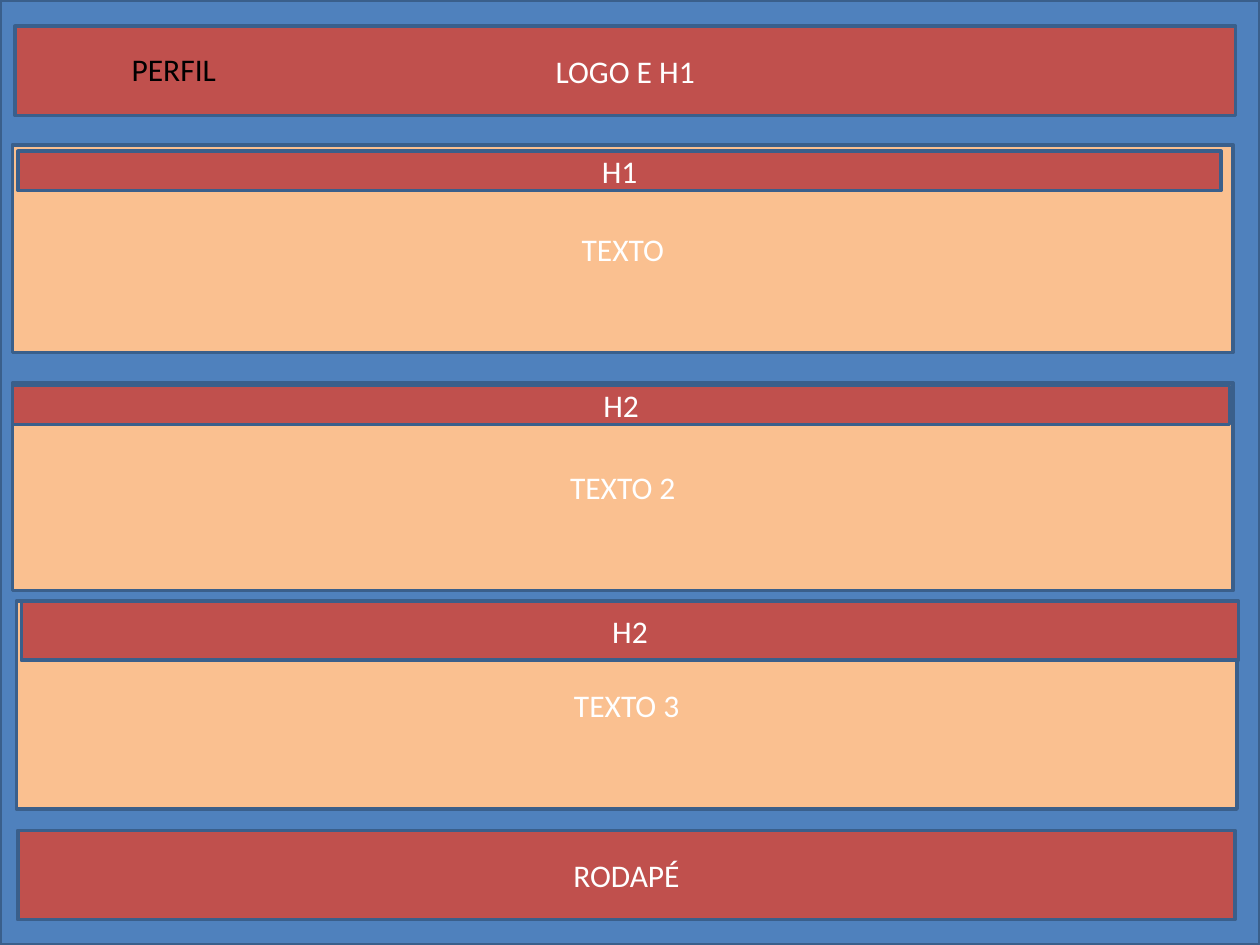
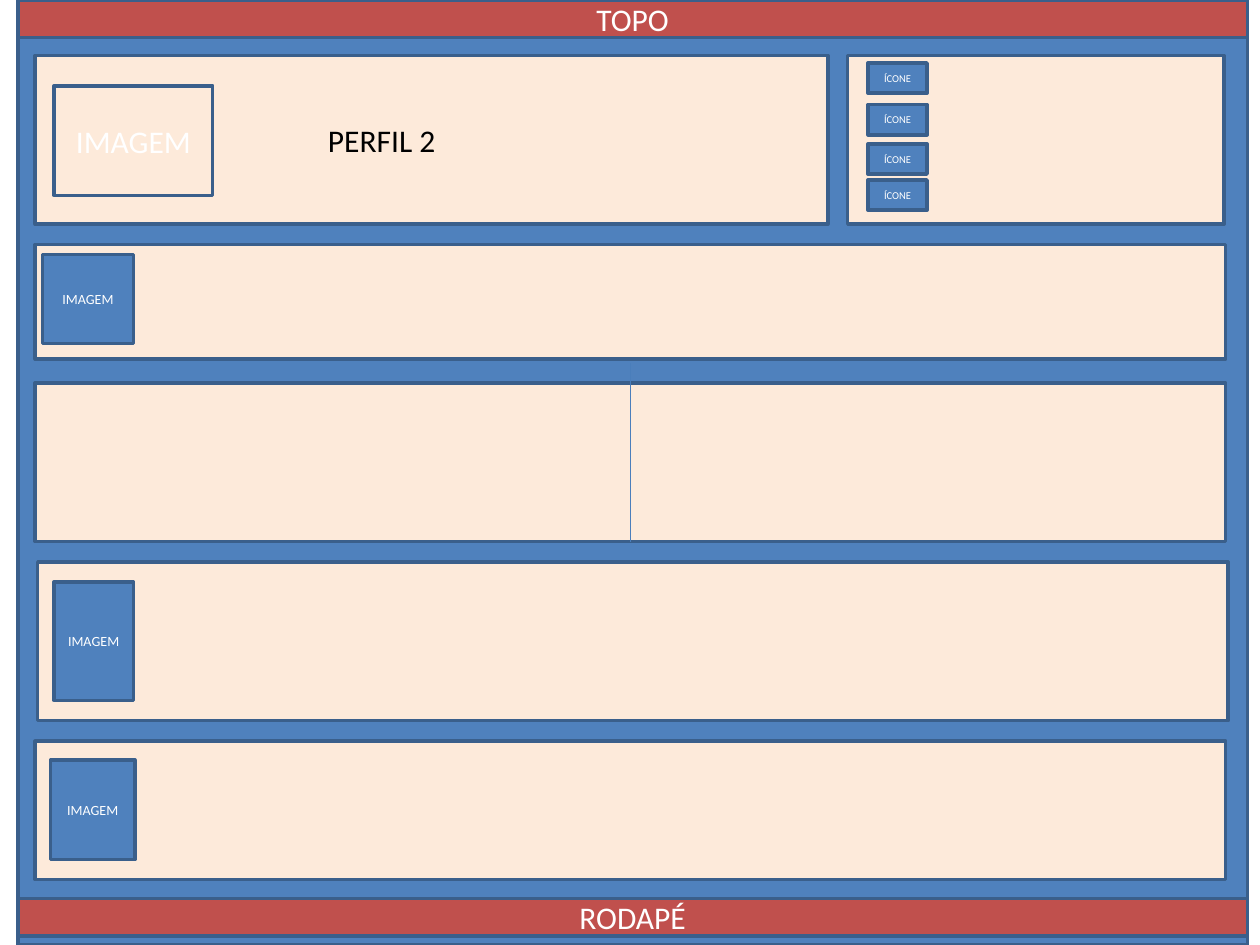
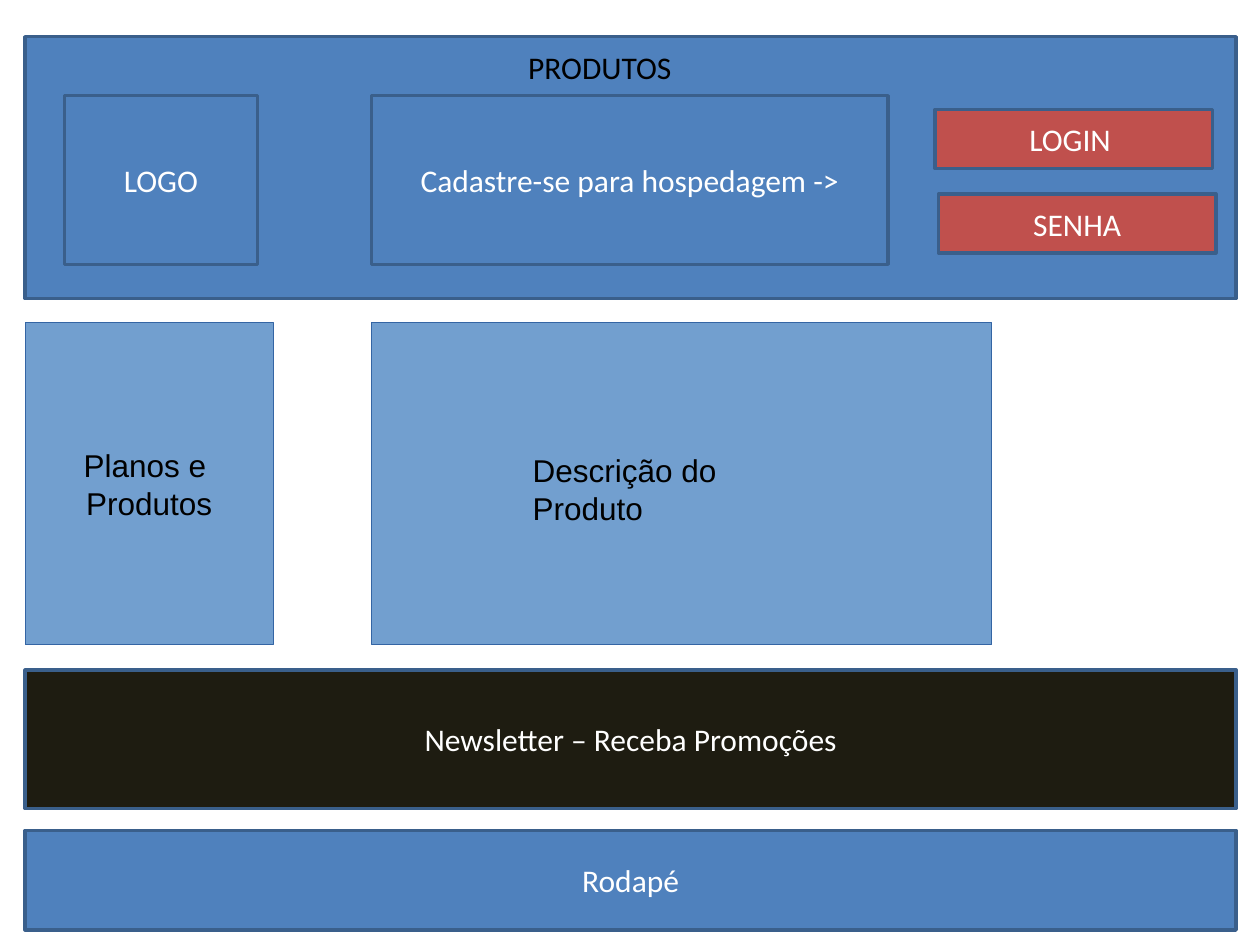
from dataclasses import dataclass
from typing import Any

import pptx
import pptx.dml.color
import pptx.enum.shapes
import pptx.enum.text
import pptx.oxml.ns
import pptx.util
from lxml import etree

Cm = pptx.util.Cm
Pt = pptx.util.Pt
RGBColor = pptx.dml.color.RGBColor
Anchor = pptx.enum.text.MSO_ANCHOR
Align = pptx.enum.text.PP_ALIGN
AutoSize = pptx.enum.text.MSO_AUTO_SIZE

BLUE = RGBColor(0x4F, 0x81, 0xBD)
BLUE_EDGE = RGBColor(0x3A, 0x5F, 0x8B)
DIVIDER_BLUE = RGBColor(0x4A, 0x7E, 0xBB)
RED = RGBColor(0xC0, 0x50, 0x4D)
ORANGE = RGBColor(0xFA, 0xC0, 0x90)
CREAM = RGBColor(0xFD, 0xEA, 0xDA)
DARK = RGBColor(0x1E, 0x1C, 0x11)
SKY = RGBColor(0x72, 0x9F, 0xCF)
SKY_EDGE = RGBColor(0x34, 0x65, 0xA4)
WHITE = RGBColor(0xFF, 0xFF, 0xFF)
BLACK = RGBColor(0x00, 0x00, 0x00)

SLIDE_WIDTH, SLIDE_HEIGHT = 25.4, 19.05


@dataclass(frozen=True)
class TextStyle:
    font: str = "Calibri"
    size: float = 18
    color: RGBColor = WHITE
    align: Any = Align.CENTER
    wrap: bool = True


ON_FILL = TextStyle()
IMAGE_TEXT = TextStyle(size=8)
ICON_TEXT = TextStyle(size=6)
PAGE_NAME = TextStyle(color=BLACK)
PRODUCT_TEXT = TextStyle(font="Arial", color=BLACK, wrap=False)
DESCRIPTION_TEXT = TextStyle(font="Arial", color=BLACK, align=Align.LEFT, wrap=False)


@dataclass(frozen=True)
class Block:
    """A filled rectangle of the wireframe; lengths in centimetres."""
    left: float
    top: float
    width: float
    height: float
    fill: RGBColor
    text: str = ""
    style: TextStyle = ON_FILL
    edge: RGBColor = BLUE_EDGE
    edge_width: float = 2


@dataclass(frozen=True)
class Label:
    """Unfilled text that grows with its content; lengths in centimetres."""
    left: float
    top: float
    text: str
    width: float = 3.61
    height: float = 1.02
    style: TextStyle = PAGE_NAME


def box_of(item: Block | Label) -> list[int]:
    return [Cm(length) for length in (item.left, item.top, item.width, item.height)]


def write_text(shape: Any, text: str, style: TextStyle, frame_format: dict[str, Any]) -> None:
    frame = shape.text_frame
    for name, value in {"word_wrap": style.wrap, **frame_format}.items():
        setattr(frame, name, value)
    frame.text = text
    for paragraph in frame.paragraphs:
        paragraph.alignment = style.align
        for run in paragraph.runs:
            for name, value in {"name": style.font, "size": Pt(style.size)}.items():
                setattr(run.font, name, value)
            run.font.color.rgb = style.color


def draw_block(slide: Any, block: Block) -> Any:
    shape = slide.shapes.add_shape(pptx.enum.shapes.MSO_SHAPE.RECTANGLE, *box_of(block))
    shape.shadow.inherit = False
    shape.fill.solid()
    shape.fill.fore_color.rgb = block.fill
    shape.line.color.rgb = block.edge
    shape.line.width = Pt(block.edge_width)
    if block.text:
        write_text(shape, block.text, block.style, {"vertical_anchor": Anchor.MIDDLE})
    return shape


def draw_label(slide: Any, label: Label) -> None:
    shape = slide.shapes.add_textbox(*box_of(label))
    write_text(shape, label.text, label.style, {"auto_size": AutoSize.SHAPE_TO_FIT_TEXT})


def draw_blocks(slide: Any, blocks: list[Block]) -> None:
    for block in blocks:
        draw_block(slide, block)


def draw_divider(slide: Any, panel: Any, end_top: float) -> None:
    """Rises from the middle of the panel's bottom side to end_top."""
    middle = panel.left + panel.width // 2
    divider = slide.shapes.add_connector(
        pptx.enum.shapes.MSO_CONNECTOR.STRAIGHT,
        middle, panel.top + panel.height, middle, Cm(end_top))
    divider.begin_connect(panel, 2)
    divider.line.color.rgb = DIVIDER_BLUE
    divider.line.width = Pt(0.75)
    properties = divider._element.spPr
    etree.SubElement(properties, pptx.oxml.ns.qn("a:effectLst"))


def build_profile(slide: Any) -> None:
    section_width, section_height, heading_width = 24.61, 4.19, 24.54
    draw_blocks(slide, [
        Block(0, 0, SLIDE_WIDTH, SLIDE_HEIGHT, BLUE),
        Block(0.36, 16.74, heading_width, 1.8, RED, "RODAPÉ"),
        Block(0.3, 0.53, section_width, 1.8, RED, "LOGO E H1"),
        Block(0.25, 2.92, section_width, section_height, ORANGE, "TEXTO"),
        Block(0.36, 3.05, 24.26, 0.79, RED, "H1"),
        Block(0.25, 7.72, section_width, section_height, ORANGE, "TEXTO 2"),
        Block(0.25, 7.77, heading_width, 0.79, RED, "H2"),
        Block(0.33, 12.12, section_width, section_height, ORANGE, "TEXTO 3"),
        Block(0.43, 12.12, heading_width, 1.19, RED, "H2"),
    ])
    draw_label(slide, Label(1.7, 0.89, "PERFIL"))


def build_second_profile(slide: Any) -> None:
    page_left, page_width, band_height = 0.36, 24.79, 0.76
    panel_left, panel_width = 0.71, 24
    draw_blocks(slide, [
        Block(page_left, 0, page_width, SLIDE_HEIGHT, BLUE),
        Block(page_left, 0, page_width, band_height, RED, "TOPO"),
        Block(page_left, 18.11, page_width, band_height, RED, "RODAPÉ"),
        Block(17.09, 1.12, 7.59, 3.4, CREAM),
        Block(panel_left, 1.12, 15.98, 3.4, CREAM),
        Block(panel_left, 4.93, panel_width, 2.31, CREAM),
        Block(0.76, 11.33, panel_width, 3.2, CREAM),
        Block(panel_left, 14.94, panel_width, 2.79, CREAM),
    ])
    split_panel = draw_block(slide, Block(panel_left, 7.72, panel_width, 3.2, CREAM))
    draw_divider(slide, split_panel, 7.32)
    draw_blocks(slide, [
        Block(1.09, 1.73, 3.2, 2.21, CREAM, "IMAGEM"),
        *(Block(17.5, top, 1.19, 0.61, BLUE, "ÍCONE", ICON_TEXT)
          for top in (1.27, 2.11, 2.9, 3.63)),
        Block(0.86, 5.13, 1.83, 1.8, BLUE, "IMAGEM", IMAGE_TEXT),
        Block(1.09, 11.73, 1.6, 2.39, BLUE, "IMAGEM", IMAGE_TEXT),
        Block(1.02, 15.32, 1.7, 2.01, BLUE, "IMAGEM", IMAGE_TEXT),
    ])
    draw_label(slide, Label(5.89, 2.31, "PERFIL 2"))


def build_products(slide: Any) -> None:
    left, width, content_left = 0.51, 24.41, 7.49
    content_top, content_height = 6.5, 6.5
    draw_blocks(slide, [
        Block(left, 16.74, width, 2.01, BLUE, "Rodapé"),
        Block(left, 13.51, width, 2.79, DARK, "Newsletter – Receba Promoções"),
        Block(left, 0.74, width, 5.28, BLUE),
        Block(18.85, 2.21, 5.59, 1.19, RED, "LOGIN "),
        Block(18.92, 3.91, 5.59, 1.19, RED, "SENHA"),
        Block(content_left, 1.93, 10.41, 3.4, BLUE, "Cadastre-se para hospedagem ->"),
        Block(1.3, 1.93, 3.89, 3.4, BLUE, "LOGO"),
    ])
    draw_label(slide, Label(10.36, 0.84, "PRODUTOS "))
    draw_blocks(slide, [
        Block(left, content_top, 5, content_height, SKY, "Planos e \nProdutos",
              PRODUCT_TEXT, SKY_EDGE, 0),
        Block(content_left, content_top, 12.5, content_height, SKY,
              edge=SKY_EDGE, edge_width=0),
    ])
    draw_label(slide, Label(10.49, 8.97, "Descrição do Produto", 6.6, 0.97, DESCRIPTION_TEXT))


def main() -> None:
    presentation = pptx.Presentation()
    presentation.slide_width = Cm(SLIDE_WIDTH)
    presentation.slide_height = Cm(SLIDE_HEIGHT)
    blank_layout = presentation.slide_layouts[6]
    for build in (build_profile, build_second_profile, build_products):
        build(presentation.slides.add_slide(blank_layout))
    presentation.save("out.pptx")


if __name__ == "__main__":
    main()
